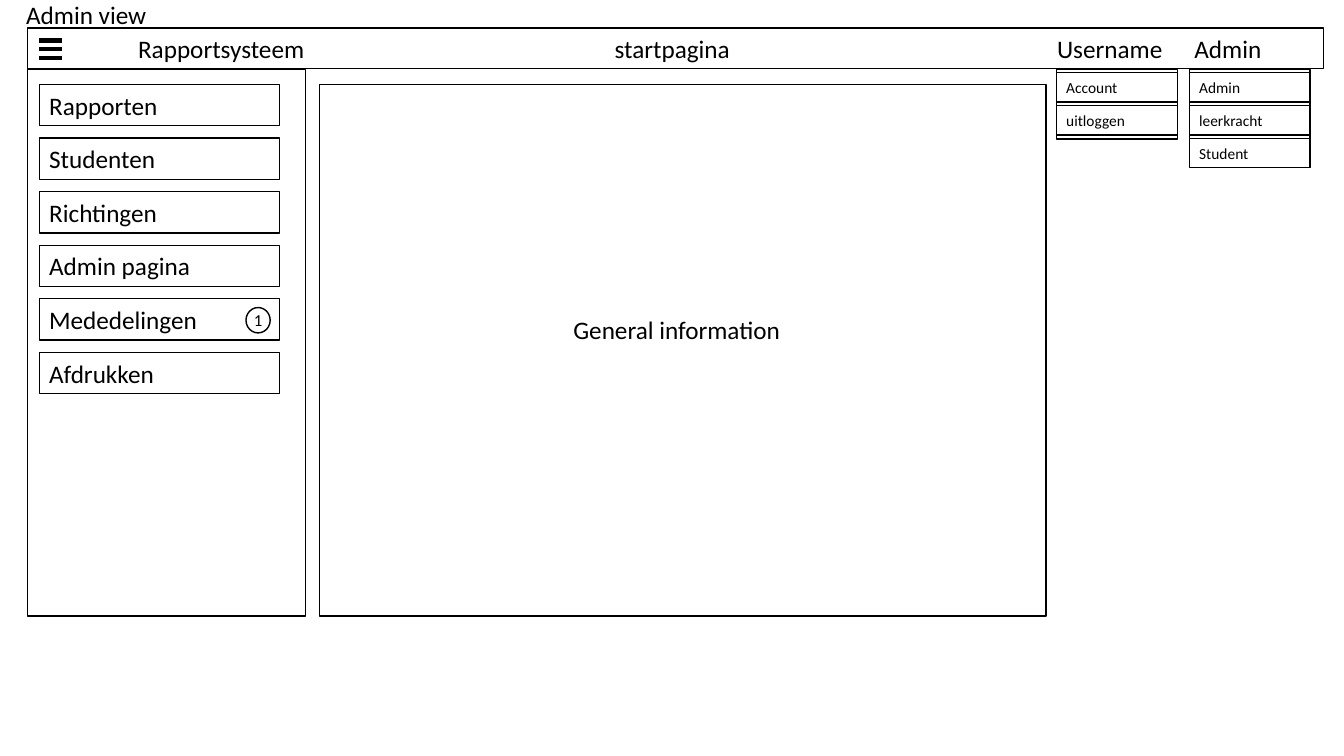
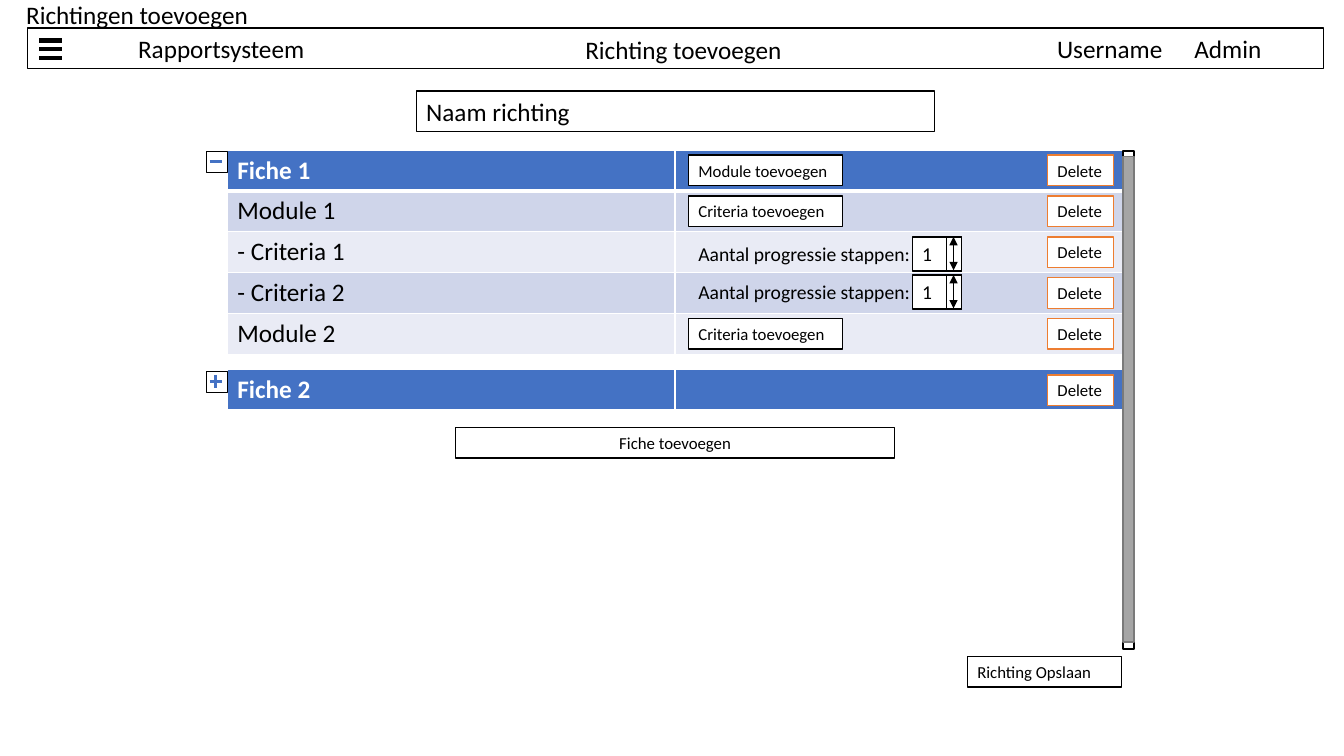
import dataclasses
import typing

import lxml.etree
import pptx
import pptx.dml.color
import pptx.enum.shapes
import pptx.enum.text
import pptx.oxml.ns
import pptx.slide
import pptx.util

Cm = pptx.util.Cm
Pt = pptx.util.Pt
RGBColor = pptx.dml.color.RGBColor
Shapes = pptx.enum.shapes.MSO_SHAPE
Align = pptx.enum.text.PP_ALIGN
Slide = pptx.slide.Slide

# Shared look
BLACK = RGBColor(0x00, 0x00, 0x00)
WHITE = RGBColor(0xFF, 0xFF, 0xFF)
BLUE = RGBColor(0x44, 0x72, 0xC4)
ORANGE = RGBColor(0xED, 0x7D, 0x31)
GREY = RGBColor(0xA5, 0xA5, 0xA5)
DARK_GREY = RGBColor(0x7A, 0x7A, 0x7A)
BAND_DARK = RGBColor(0xCF, 0xD5, 0xEA)
BAND_LIGHT = RGBColor(0xE9, 0xEB, 0xF5)
FONT = "Calibri"
INSET = 0.25

# Lengths below are centimetres
TABLE_LEFT, COLUMN_WIDTH, ROW_HEIGHT = 5.73, 11.28, 1.03
FICHE_1_TOP, FICHE_2_TOP = 3.78, 9.32
BUTTON_HEIGHT, BUTTON_OFFSET = 0.77, 0.13


@dataclasses.dataclass(frozen=True)
class Box:
    left: float
    top: float
    width: float
    height: float
    text: str = ""
    size: float = 18
    fill: typing.Optional[RGBColor] = WHITE
    line: RGBColor = BLACK
    align: typing.Any = Align.LEFT
    inset: float = INSET
    outline: typing.Any = Shapes.RECTANGLE


@dataclasses.dataclass(frozen=True)
class Stroke:
    x1: float
    y1: float
    x2: float
    y2: float
    color: RGBColor = BLACK
    weight: float = 3
    arrows: bool = False


@dataclasses.dataclass(frozen=True)
class Dropdown:
    left: float
    height: float
    items: tuple[str, ...]


@dataclasses.dataclass(frozen=True)
class Fiche:
    top: float
    rows: tuple[str, ...]
    expanded: bool


def apply_format(target: typing.Any, values: dict[str, typing.Any]) -> None:
    for attribute, value in values.items():
        setattr(target, attribute, value)


def write(frame: typing.Any, text: str, size: float, color: RGBColor = BLACK,
          bold: bool = False, align: typing.Any = Align.LEFT) -> None:
    paragraph = frame.paragraphs[0]
    paragraph.alignment = align
    run = paragraph.add_run()
    run.text = text
    apply_format(run.font, {"name": FONT, "size": Pt(size), "bold": bold})
    run.font.color.rgb = color


def draw_box(slide: Slide, box: Box) -> None:
    """Draw a framed box, or plain text when the box has no fill."""
    place = [Cm(v) for v in (box.left, box.top, box.width, box.height)]
    if box.fill is None:
        shape = slide.shapes.add_textbox(*place)
    else:
        shape = slide.shapes.add_shape(box.outline, *place)
        shape.shadow.inherit = False
        shape.fill.solid()
        shape.fill.fore_color.rgb = box.fill
        shape.line.color.rgb = box.line
        shape.line.width = Pt(1)
    if box.text:
        left_inset = 0 if box.align == Align.CENTER else box.inset
        apply_format(shape.text_frame, {
            "word_wrap": True,
            "vertical_anchor": pptx.enum.text.MSO_ANCHOR.MIDDLE,
            "margin_left": Cm(left_inset),
            "margin_right": 0,
            "margin_top": 0,
            "margin_bottom": 0,
        })
        write(shape.text_frame, box.text, box.size, align=box.align)


def draw_label(slide: Slide, left: float, top: float, width: float,
               text: str, height: float = 1.02, size: float = 18) -> None:
    draw_box(slide, Box(left, top, width, height, text, size, fill=None))


def draw_stroke(slide: Slide, stroke: Stroke) -> None:
    ends = [Cm(v) for v in (stroke.x1, stroke.y1, stroke.x2, stroke.y2)]
    connector = slide.shapes.add_connector(
        pptx.enum.shapes.MSO_CONNECTOR.STRAIGHT, *ends)
    connector.line.color.rgb = stroke.color
    connector.line.width = Pt(stroke.weight)
    if stroke.arrows:
        for end in ("a:headEnd", "a:tailEnd"):
            lxml.etree.SubElement(connector.line._get_or_add_ln(),
                                  pptx.oxml.ns.qn(end), type="triangle")
    lxml.etree.SubElement(connector._element.spPr,
                          pptx.oxml.ns.qn("a:effectLst"))


def draw_page_frame(slide: Slide, view: str, view_width: float,
                    heading: Box) -> None:
    """View name, header bar, menu icon and account names."""
    draw_label(slide, 0.41, 0, view_width, view, height=0.72)
    draw_box(slide, Box(0.69, 0.71, 32.66, 1.02, "Rapportsysteem", inset=2.79))
    for bar in range(3):
        y = 1.02 + bar * 0.22
        draw_stroke(slide, Stroke(0.99, y, 1.57, y))
    draw_label(slide, 26.39, 0.71, 3.81, "Username")
    draw_label(slide, 29.85, 0.71, 3.3, "Admin")
    draw_box(slide, heading)


# Admin view
MENU = ("Rapporten", "Studenten", "Richtingen", "Admin pagina",
        "Mededelingen", "Afdrukken")
DROPDOWNS = (
    Dropdown(26.62, 1.75, ("Account", "uitloggen")),
    Dropdown(29.97, 2.46, ("Admin", "leerkracht", "Student")),
)


def draw_admin_view(slide: Slide) -> None:
    draw_page_frame(slide, "Admin view", 4.72,
                    Box(15.24, 0.71, 3.51, 1.02, "startpagina", fill=None))
    # Side menu with message counter
    draw_box(slide, Box(0.69, 1.75, 7.01, 13.77))
    for index, entry in enumerate(MENU):
        draw_box(slide, Box(0.99, 2.13 + index * 1.35, 6.05, 1.04, entry))
    draw_box(slide, Box(6.2, 7.75, 0.61, 0.64, "1", 12, align=Align.CENTER,
                        outline=Shapes.OVAL))
    # Account menus
    for dropdown in DROPDOWNS:
        draw_box(slide, Box(dropdown.left, 1.75, 3.05, dropdown.height))
        for index, item in enumerate(dropdown.items):
            draw_box(slide, Box(dropdown.left, 1.83 + index * 0.83,
                                3.05, 0.74, item, 11))
    # Content area
    draw_box(slide, Box(8.05, 2.13, 18.31, 13.39))
    draw_label(slide, 14.2, 7.8, 6.17, "General information")


# Adding a study track
FICHES = (
    Fiche(FICHE_1_TOP, ("Fiche 1", "Module 1", "- Criteria 1", "- Criteria 2",
                        "Module 2"), True),
    Fiche(FICHE_2_TOP, ("Fiche 2",), False),
)
ADD_BUTTONS = {0: "Module toevoegen", 1: "Criteria toevoegen",
               4: "Criteria toevoegen"}
STEP_COUNTER_TOPS = (5.97, 6.93)


def style_cell(cell: typing.Any, fill: RGBColor, bottom_weight: float) -> None:
    cell.fill.solid()
    cell.fill.fore_color.rgb = fill
    properties = cell._tc.get_or_add_tcPr()
    weights = {"a:lnL": 1, "a:lnR": 1, "a:lnT": 1, "a:lnB": bottom_weight}
    for position, (side, weight) in enumerate(weights.items()):
        border = lxml.etree.Element(pptx.oxml.ns.qn(side), w=str(Pt(weight)))
        solid = lxml.etree.SubElement(border, pptx.oxml.ns.qn("a:solidFill"))
        lxml.etree.SubElement(solid, pptx.oxml.ns.qn("a:srgbClr"),
                              val=str(WHITE))
        properties.insert(position, border)


def draw_fiche(slide: Slide, fiche: Fiche) -> None:
    count = len(fiche.rows)
    table = slide.shapes.add_table(
        count, 2, Cm(TABLE_LEFT), Cm(fiche.top),
        Cm(2 * COLUMN_WIDTH), Cm(count * ROW_HEIGHT)).table
    for index, name in enumerate(fiche.rows):
        header = index == 0
        band = BAND_DARK if index % 2 else BAND_LIGHT
        for column in range(2):
            style_cell(table.cell(index, column), BLUE if header else band,
                       3 if header else 1)
        # A border is shared, so the row below the header matches it
        if index == 1:
            for column in range(2):
                top = table.cell(1, column)._tc.tcPr.find(
                    pptx.oxml.ns.qn("a:lnT"))
                top.set("w", str(Pt(3)))
        write(table.cell(index, 0).text_frame, name, 18,
              WHITE if header else BLACK, bold=header)
        draw_box(slide, Box(26.4, fiche.top + BUTTON_OFFSET
                            + index * ROW_HEIGHT, 1.67, BUTTON_HEIGHT,
                            "Delete", 12, line=ORANGE))
    # Fold toggle
    draw_box(slide, Box(5.2, fiche.top + 0.04, 0.53, 0.53))
    middle = fiche.top + 0.29
    draw_stroke(slide, Stroke(5.28, middle, 5.6, middle, BLUE, 2.25))
    if not fiche.expanded:
        draw_stroke(slide, Stroke(5.44, middle - 0.16, 5.44, middle + 0.16,
                                  BLUE, 2.25))


def draw_step_counter(slide: Slide, top: float) -> None:
    draw_label(slide, 17.35, top, 5.97, "Aantal progressie stappen:", 0.86, 14)
    draw_box(slide, Box(22.99, top, 1.24, 0.86, "1", 14))
    draw_box(slide, Box(23.85, top, 0.38, 0.86))
    draw_stroke(slide, Stroke(24.03, top, 24.03, top + 0.84,
                              weight=0.5, arrows=True))


def draw_track_form(slide: Slide) -> None:
    draw_page_frame(slide, "Richtingen toevoegen", 6.96,
                    Box(14.5, 0.74, 5.82, 1.02, "Richting toevoegen",
                        fill=None))
    draw_box(slide, Box(10.49, 2.29, 13.06, 1.02, "Naam richting"))
    # Fiches and their controls
    for fiche in FICHES:
        draw_fiche(slide, fiche)
    for row, caption in ADD_BUTTONS.items():
        top = FICHE_1_TOP + BUTTON_OFFSET + row * ROW_HEIGHT
        draw_box(slide, Box(17.35, top, 3.89, BUTTON_HEIGHT, caption, 12))
    for top in STEP_COUNTER_TOPS:
        draw_step_counter(slide, top)
    draw_box(slide, Box(11.48, 10.77, 11.07, BUTTON_HEIGHT, "Fiche toevoegen",
                        12, align=Align.CENTER))
    # Scrollbar track and thumb
    draw_box(slide, Box(28.3, 3.81, 0.28, 12.55))
    draw_box(slide, Box(28.3, 3.94, 0.28, 12.24, fill=GREY, line=DARK_GREY))
    draw_box(slide, Box(24.38, 16.54, 3.89, BUTTON_HEIGHT,
                        "Richting Opslaan", 12))


def main() -> None:
    presentation = pptx.Presentation()
    apply_format(presentation, {"slide_width": Cm(33.87),
                                "slide_height": Cm(19.05)})
    blank = presentation.slide_layouts[6]
    for draw in (draw_admin_view, draw_track_form):
        draw(presentation.slides.add_slide(blank))
    presentation.save("out.pptx")


if __name__ == "__main__":
    main()
